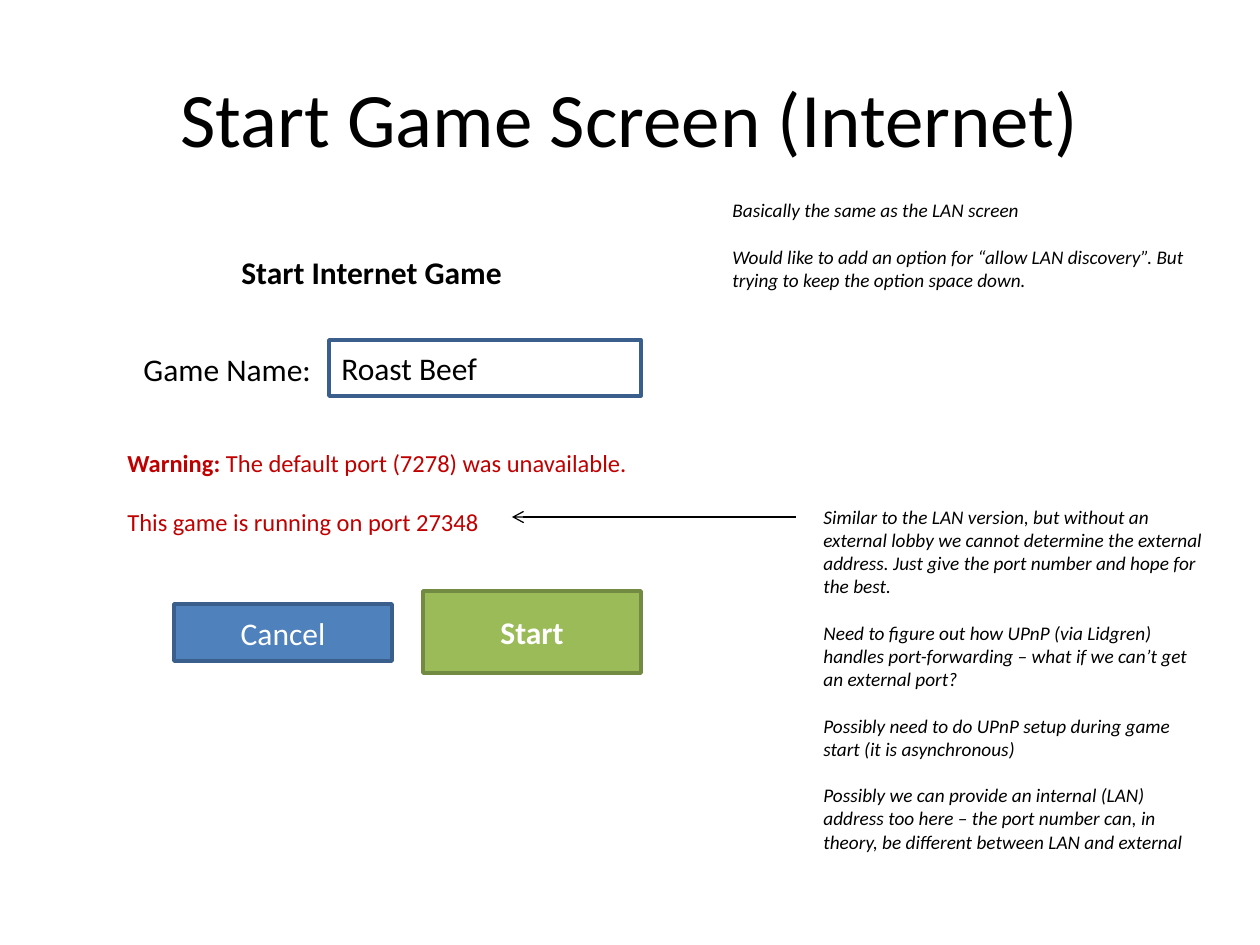
from lxml.etree import SubElement
from pptx import Presentation
from pptx.dml.color import RGBColor
from pptx.enum.shapes import MSO_CONNECTOR, MSO_SHAPE
from pptx.enum.text import MSO_ANCHOR, MSO_AUTO_SIZE, PP_ALIGN
from pptx.oxml.ns import qn
from pptx.util import Emu, Pt

rgb = RGBColor.from_string


def px(*values):
    """Turn pixels, at 126 to the inch, into EMU."""
    return [Emu(round(v * 914400 / 126)) for v in values]


def write(tf, texts, size, color="000000", bold=False, italic=False,
          align=PP_ALIGN.LEFT):
    """Fill a frame with paragraphs set one line height apart."""
    for i, text in enumerate(texts):
        p = tf.paragraphs[0] if i == 0 else tf.add_paragraph()
        p.add_run().text = text
        p.alignment = align
        p.space_before = Pt(round(size * 1.22, 1) if i else 0)
        p.font.name, p.font.size = "Calibri", Pt(size)
        p.font.bold, p.font.italic = bold, italic
        p.font.color.rgb = rgb(color)


prs = Presentation()
prs.slide_width, prs.slide_height = px(1260, 945)
s = prs.slides.add_slide(prs.slide_layouts[5])

title = s.shapes.title
title.left, title.top, title.width, title.height = px(63, 38, 1134, 157)
title.text_frame.vertical_anchor = MSO_ANCHOR.MIDDLE
write(title.text_frame, ["Start Game Screen (Internet)"], 44,
      align=PP_ALIGN.CENTER)

# Labels, warning and design notes
lan_notes = [
    "Basically the same as the LAN screen",
    "Would like to add an option for “allow LAN discovery”. "
    "But trying to keep the option space down.",
]
port_notes = [
    "Similar to the LAN version, but without an external lobby we cannot "
    "determine the external address. Just give the port number and hope "
    "for the best.",
    "Need to figure out how UPnP (via Lidgren) handles port-forwarding – "
    "what if we can’t get an external port?",
    "Possibly need to do UPnP setup during game start (it is asynchronous)",
    "Possibly we can provide an internal (LAN) address too here – the port "
    "number can, in theory, be different between LAN and external",
]
warning = ["Warning:", "This game is running on port 27348"]
texts = [
    ((131, 344, 195, 51), ["Game Name:"], dict(size=18)),
    ((229, 247, 289, 51), ["Start Internet Game"], dict(size=18, bold=True)),
    ((811, 499, 407, 363), port_notes, dict(size=11, italic=True)),
    ((720, 192, 496, 106), lan_notes, dict(size=11, italic=True)),
    ((115, 442, 605, 102), warning, dict(size=14, color="C00000")),
]
for box, lines, style in texts:
    tf = s.shapes.add_textbox(*px(*box)).text_frame
    tf.word_wrap = True
    tf.auto_size = MSO_AUTO_SIZE.SHAPE_TO_FIT_TEXT
    write(tf, lines, **style)
    if lines is warning:
        p = tf.paragraphs[0]
        p.runs[0].font.bold = True
        p.add_run().text = " The default port (7278) was unavailable."

# Input field and buttons
controls = [
    ((329, 340, 312, 56), "FFFFFF", "3A5F8C", "Roast Beef", dict()),
    ((423, 591, 218, 82), "9BBB59", "738A42", "Start",
     dict(color="FFFFFF", bold=True, align=PP_ALIGN.CENTER)),
    ((174, 604, 218, 57), "4F81BD", "3A5F8C", "Cancel",
     dict(color="FFFFFF", align=PP_ALIGN.CENTER)),
]
for box, fill, line, text, style in controls:
    sp = s.shapes.add_shape(MSO_SHAPE.RECTANGLE, *px(*box))
    sp.shadow.inherit = False
    sp.fill.solid()
    sp.fill.fore_color.rgb = rgb(fill)
    sp.line.color.rgb = rgb(line)
    sp.line.width = Pt(2)
    sp.text_frame.vertical_anchor = MSO_ANCHOR.MIDDLE
    write(sp.text_frame, [text], 18, **style)

# Arrow from the port notes to the warning
arrow = s.shapes.add_connector(MSO_CONNECTOR.STRAIGHT, *px(796, 517, 512, 517))
arrow.line.color.rgb = rgb("000000")
arrow.line.width = Pt(0.75)
SubElement(arrow.line._get_or_add_ln(), qn("a:tailEnd"), type="arrow")
SubElement(arrow._element.spPr, qn("a:effectLst"))

prs.save("out.pptx")
